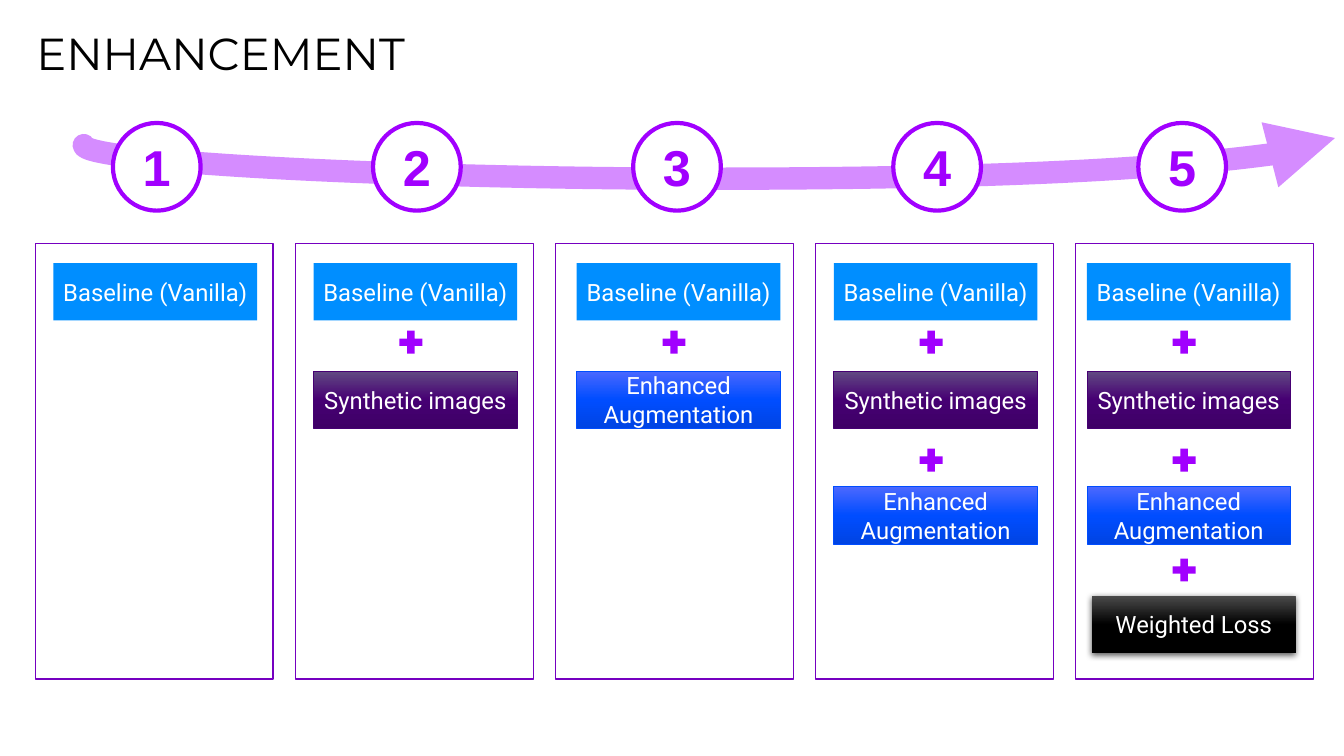
from copy import deepcopy

from pptx import Presentation
from pptx.dml.color import RGBColor
from pptx.enum.shapes import MSO_CONNECTOR as Connector, MSO_SHAPE as Shape
from pptx.enum.text import MSO_ANCHOR as Anchor, PP_ALIGN as Align
from pptx.oxml import parse_xml
from pptx.oxml.ns import nsdecls, qn
from pptx.util import Inches, Pt

# Content: each column stacks its methods from top to bottom
TITLE = "ENHANCEMENT"
BASE, SYNTH = "Baseline (Vanilla)", "Synthetic images"
AUGMENT, LOSS = "Enhanced Augmentation", "Weighted Loss"
COLUMNS = [
    [BASE],
    [BASE, SYNTH],
    [BASE, AUGMENT],
    [BASE, SYNTH, AUGMENT],
    [BASE, SYNTH, AUGMENT, LOSS],
]

# Colours
COLORS = {"black": "000000", "white": "FFFFFF", "panel": "7500C0",
          "accent": "A100FF", "arrow": "D58CFF"}
FILLS = {
    BASE: ["008EFF"],
    SYNTH: ["624B83", "460073", "3E0066"],
    AUGMENT: ["4B68FF", "004DFF", "0044E3"],
    LOSS: ["4B4B4B", "000000", "000000"],
}
OUTLINES = {SYNTH: "460073", AUGMENT: "004DFF"}

# Grid, in inches
LEFT, PITCH = 0.35, 2.58
PANEL_TOP, PANEL_W, PANEL_H = 2.415, 2.36, 4.32
BOX_W, BOX_H = 2.02, 0.57
BOX_LEFTS = [0.53, 3.11, 5.72, 8.27, 10.78]
BOX_TOPS = [2.61, 3.68, 4.83, 5.91]
PLUS_TOPS = [3.24, 4.41, 5.5]
PLUS, PLUS_SHIFT, LOSS_SHIFT = 0.31, 0.81, 0.05
CIRCLE, CIRCLE_TOP = 0.87, 1.22
CIRCLE_LEFTS = [1.12 + PITCH * i for i in range(4)] + [11.29]


def rgb(value):
    return RGBColor.from_string(value)


def add_block(page, kind, left, top, width, height, fill, line=None, weight=1):
    block = page.shapes.add_shape(
        kind, Inches(left), Inches(top), Inches(width), Inches(height))
    block.shadow.inherit = False
    block.fill.solid()
    block.fill.fore_color.rgb = rgb(fill)
    if line:
        block.line.color.rgb = rgb(line)
        block.line.width = Pt(weight)
    else:
        block.line.fill.background()
    return block


def write(block, text, size, font, color, bold=False):
    frame = block.text_frame
    frame.word_wrap = True
    frame.vertical_anchor = Anchor.MIDDLE
    frame.margin_left = frame.margin_right = Inches(0.05)
    para = frame.paragraphs[0]
    para.text = text
    para.alignment = Align.CENTER
    para.font.size, para.font.name, para.font.bold = Pt(size), font, bold
    para.font.color.rgb = rgb(color)


def shade(block, colors):
    """Three-stop gradient running from top to bottom."""
    block.fill.gradient()
    block.fill.gradient_angle = 270
    stops = block.element.spPr.find(qn("a:gradFill")).find(qn("a:gsLst"))
    stops.append(deepcopy(stops[0]))
    for stop, color, position in zip(block.fill.gradient_stops, colors, (0, 0.5, 1)):
        stop.color.rgb = rgb(color)
        stop.position = position


def add_drop_shadow(block):
    effects = block.element.spPr.find(qn("a:effectLst"))
    effects.append(parse_xml(
        f'<a:outerShdw {nsdecls("a")} blurRad="{Pt(4.5)}" dist="{Pt(1.5)}" '
        'dir="5400000" rotWithShape="0"><a:srgbClr val="000000">'
        '<a:alpha val="63000"/></a:srgbClr></a:outerShdw>'))


def add_method(page, name, left, top):
    colors = FILLS[name]
    block = add_block(page, Shape.RECTANGLE, left, top, BOX_W, BOX_H,
                      colors[0], OUTLINES.get(name), 0.5)
    if len(colors) > 1:
        shade(block, colors)
    if name == LOSS:
        add_drop_shadow(block)
    write(block, name, 17, "Roboto", COLORS["white"])


def add_timeline(page):
    """Shallow curve: an upright curved connector turned by 90 degrees."""
    curve = page.shapes.add_connector(
        Connector.CURVE, Inches(7.07), Inches(7.61), Inches(7), Inches(-4.8))
    curve.line.color.rgb = rgb(COLORS["arrow"])
    curve.line.width = Pt(16)
    props = curve.element.spPr
    props.find(qn("a:xfrm")).set("rot", "5400000")
    guides = props.find(qn("a:prstGeom")).get_or_add_avLst()
    guides.append(parse_xml(
        f'<a:gd {nsdecls("a")} name="adj1" fmla="val -475900"/>'))
    outline = props.find(qn("a:ln"))
    outline.set("cap", "rnd")
    outline.append(parse_xml(f'<a:tailEnd {nsdecls("a")} type="triangle"/>'))
    props.append(parse_xml(f'<a:effectLst {nsdecls("a")}/>'))


def add_title(page):
    title = page.shapes.title
    title.left, title.top = Inches(0.36), Inches(0.36)
    title.width, title.height = Inches(10.96), Inches(0.85)
    frame = title.text_frame
    frame.margin_left = frame.margin_top = frame.margin_bottom = 0
    frame.vertical_anchor = Anchor.TOP
    para = frame.paragraphs[0]
    para.text = TITLE
    para.alignment = Align.LEFT
    para.line_spacing = 0.8
    para.font.size, para.font.name = Pt(32), "Montserrat"
    para.font.color.rgb = rgb(COLORS["black"])


def main():
    deck = Presentation()
    deck.slide_width, deck.slide_height = Inches(13.33), Inches(7.5)
    page = deck.slides.add_slide(deck.slide_layouts[5])
    add_title(page)

    # Panels, with the timeline above them
    for i in range(len(COLUMNS)):
        add_block(page, Shape.RECTANGLE, LEFT + PITCH * i, PANEL_TOP,
                  PANEL_W, PANEL_H, COLORS["white"], COLORS["panel"])
    add_timeline(page)

    # Numbered circles and stacks of methods joined by plus signs
    for i, methods in enumerate(COLUMNS):
        circle = add_block(page, Shape.OVAL, CIRCLE_LEFTS[i], CIRCLE_TOP, CIRCLE,
                           CIRCLE, COLORS["white"], COLORS["accent"], 3)
        write(circle, str(i + 1), 36, "Arial", COLORS["accent"], bold=True)
        for row, name in enumerate(methods):
            shift = LOSS_SHIFT if name == LOSS else 0
            add_method(page, name, BOX_LEFTS[i] + shift, BOX_TOPS[row])
        for top in PLUS_TOPS[:len(methods) - 1]:
            add_block(page, Shape.MATH_PLUS, BOX_LEFTS[i] + PLUS_SHIFT, top,
                      PLUS, PLUS, COLORS["accent"])

    deck.save("out.pptx")


if __name__ == "__main__":
    main()
